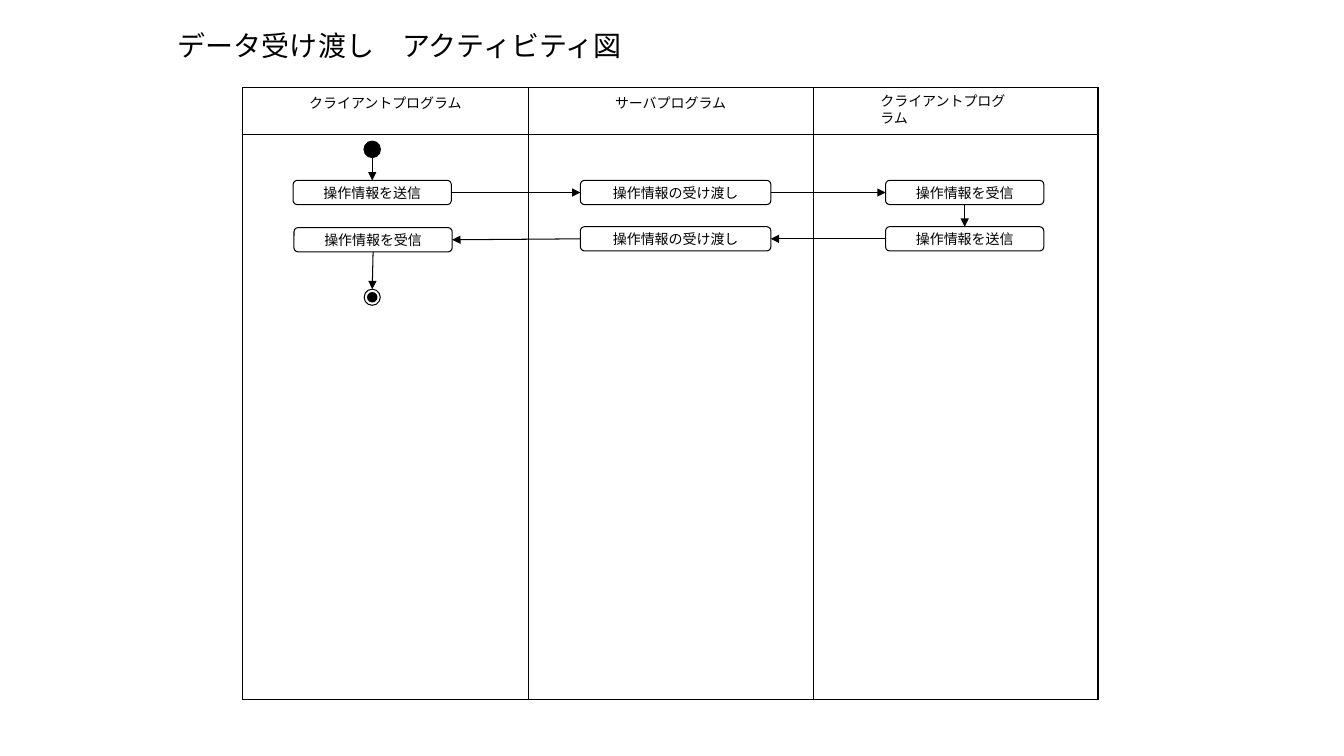
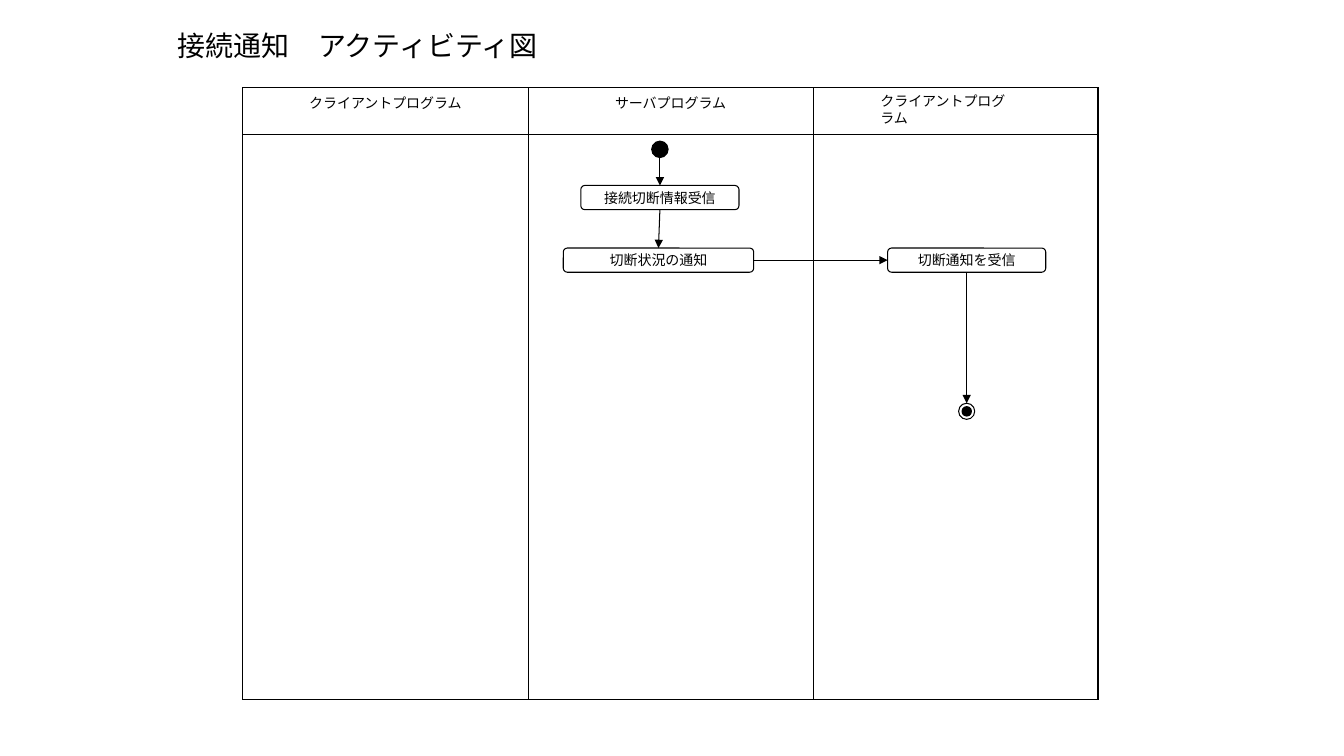
from dataclasses import dataclass

from lxml import etree
from pptx import Presentation
from pptx.dml.color import RGBColor
from pptx.enum.shapes import MSO_CONNECTOR, MSO_SHAPE
from pptx.enum.text import MSO_ANCHOR, MSO_AUTO_SIZE, PP_ALIGN
from pptx.oxml.ns import qn
from pptx.shapes.autoshape import Shape
from pptx.slide import Slide
from pptx.table import _Cell
from pptx.text.text import TextFrame
from pptx.util import Inches, Pt

ROUNDED = MSO_SHAPE.ROUNDED_RECTANGLE
OVAL = MSO_SHAPE.OVAL
STRAIGHT = MSO_CONNECTOR.STRAIGHT
CENTER = PP_ALIGN.CENTER
LEFT = PP_ALIGN.LEFT
MIDDLE = MSO_ANCHOR.MIDDLE
TOP = MSO_ANCHOR.TOP
GROW = MSO_AUTO_SIZE.SHAPE_TO_FIT_TEXT

BLACK = "000000"
WHITE = "FFFFFF"
JAPANESE_FONT = "Noto Sans CJK JP"
BODY_FONT = "Times New Roman"
BODY_SIZE = 10

SLIDE_WIDTH, SLIDE_HEIGHT = 13.34, 7.5
BLANK_LAYOUT = 6
DIAGRAM_LEFT, DIAGRAM_TOP = 2.41, 0.87
LANE_WIDTH = 2.83
LANE_COUNT = 3
COLUMN = LANE_WIDTH / 10
ROW = 0.46
BODY_HEIGHT = 5.61
BOX_HEIGHT = 0.24
CIRCLE, CORE = 0.16, 0.09
NARROW, WIDE = 1.57, 1.89
OUTER_LINE, INNER_LINE, SHAPE_LINE = 1.08, 0.45, 0.75
TOP_SIDE, LEFT_SIDE, BOTTOM_SIDE, RIGHT_SIDE = range(4)

CLIENT = "クライアントプログラム"
SERVER = "サーバプログラム"


@dataclass(frozen=True)
class Action:
    """A labelled step centred on a grid column and row."""

    name: str
    text: str
    column: float
    row: float
    width: float = NARROW


@dataclass(frozen=True)
class Marker:
    """A start or end circle centred on a grid column and row."""

    name: str
    column: float
    row: float


@dataclass(frozen=True)
class Flow:
    """An arrow between two named nodes."""

    source: str
    target: str


@dataclass(frozen=True)
class Activity:
    """The content of one activity diagram."""

    title: str
    start: Marker
    end: Marker
    actions: tuple[Action, ...]
    flows: tuple[Flow, ...]


ACTIVITIES = (
    Activity(
        "データ受け渡し　アクティビティ図",
        Marker("start", 4.54, 1.33),
        Marker("end", 4.54, 4.52),
        (
            Action("send", "操作情報を送信", 4.54, 2.26),
            Action("relay", "操作情報の受け渡し", 15.18, 2.26, WIDE),
            Action("receive", "操作情報を受信", 25.32, 2.26),
            Action("reply", "操作情報を送信", 25.32, 3.26),
            Action("relay back", "操作情報の受け渡し", 15.18, 3.26, WIDE),
            Action("receive back", "操作情報を受信", 4.57, 3.28),
        ),
        (
            Flow("start", "send"),
            Flow("send", "relay"),
            Flow("relay", "receive"),
            Flow("receive", "reply"),
            Flow("reply", "relay back"),
            Flow("relay back", "receive back"),
            Flow("receive back", "end"),
        ),
    ),
    Activity(
        "接続通知　アクティビティ図",
        Marker("start", 14.63, 1.33),
        Marker("end", 25.39, 6.98),
        (
            Action("detect", "接続切断情報受信", 14.63, 2.37),
            Action("notify", "切断状況の通知", 14.58, 3.72, WIDE),
            Action("receive", "切断通知を受信", 25.39, 3.72),
        ),
        (
            Flow("start", "detect"),
            Flow("detect", "notify"),
            Flow("notify", "receive"),
            Flow("receive", "end"),
        ),
    ),
)


def color(value: str) -> RGBColor:
    """Turn a hex string into a colour."""
    return RGBColor.from_string(value)


def write(frame: TextFrame, text: str, size: float = BODY_SIZE, font: str = BODY_FONT,
          align: PP_ALIGN = CENTER, before: float = 0) -> None:
    """Write one formatted paragraph."""
    frame.text = text
    paragraph = frame.paragraphs[0]
    paragraph.alignment = align
    paragraph.space_before = Pt(before)
    for run in paragraph.runs:
        run.font.size = Pt(size)
        run.font.name = font
        run.font.color.rgb = color(BLACK)
        east_asian = etree.SubElement(run.font._element, qn("a:ea"))
        east_asian.set("typeface", JAPANESE_FONT)


def add_text(slide: Slide, text: str, box: tuple[float, float, float, float],
             anchor: MSO_ANCHOR, **style) -> TextFrame:
    """Add a wrapping text box."""
    frame = slide.shapes.add_textbox(*map(Inches, box)).text_frame
    frame.word_wrap = True
    frame.vertical_anchor = anchor
    write(frame, text, align=LEFT, **style)
    return frame


def add_centered(slide: Slide, kind: MSO_SHAPE, column: float, row: float,
                 width: float, height: float, fill: str = WHITE,
                 line_width: float = SHAPE_LINE) -> Shape:
    """Add an outlined shape centred on a grid point."""
    left = DIAGRAM_LEFT + column * COLUMN - width / 2
    top = DIAGRAM_TOP + row * ROW - height / 2
    shape = slide.shapes.add_shape(kind, *map(Inches, (left, top, width, height)))
    shape.shadow.inherit = False
    shape.fill.solid()
    shape.fill.fore_color.rgb = color(fill)
    shape.line.color.rgb = color(BLACK)
    shape.line.width = Pt(line_width)
    return shape


def add_action(slide: Slide, action: Action) -> Shape:
    """Add a rounded step with its label."""
    shape = add_centered(slide, ROUNDED, action.column, action.row, action.width, BOX_HEIGHT)
    shape.adjustments[0] = 0.167
    shape.text_frame.word_wrap = False
    shape.text_frame.vertical_anchor = MIDDLE
    write(shape.text_frame, action.text)
    return shape


def add_start(slide: Slide, marker: Marker) -> Shape:
    """Add the filled start circle."""
    return add_centered(slide, OVAL, marker.column, marker.row, CIRCLE, CIRCLE, BLACK, 1)


def add_end(slide: Slide, marker: Marker) -> Shape:
    """Add the ringed end circle and return its ring."""
    ring = add_centered(slide, OVAL, marker.column, marker.row, CIRCLE, CIRCLE)
    core = add_centered(slide, OVAL, marker.column, marker.row, CORE, CORE, BLACK, 1)
    slide.shapes.add_group_shape([ring, core])
    return ring


def add_flow(slide: Slide, source: Shape, target: Shape) -> None:
    """Join two nodes with an arrow, down within a lane and sideways across lanes."""
    source_center = source.left + source.width // 2
    distance = target.left + target.width // 2 - source_center
    if abs(distance) < Inches(LANE_WIDTH / 2):
        sides = BOTTOM_SIDE, TOP_SIDE
    elif distance > 0:
        sides = RIGHT_SIDE, LEFT_SIDE
    else:
        sides = LEFT_SIDE, RIGHT_SIDE
    bottom = source.top + source.height
    connector = slide.shapes.add_connector(STRAIGHT, source_center, bottom,
                                           source_center, bottom)
    if source.auto_shape_type == ROUNDED:
        connector.begin_connect(source, sides[0])
    connector.end_connect(target, sides[1])
    connector.line.color.rgb = color(BLACK)
    connector.line.width = Pt(SHAPE_LINE)
    etree.SubElement(connector.line._get_or_add_ln(), qn("a:tailEnd")).set("type", "triangle")
    etree.SubElement(connector._element.spPr, qn("a:effectLst"))


def set_borders(cell: _Cell, widths: dict[str, float]) -> None:
    """Draw the borders of a cell and clear its fill."""
    properties = cell._tc.get_or_add_tcPr()
    for tag, width in widths.items():
        line = etree.SubElement(properties, qn(f"a:{tag}"))
        line.set("w", str(Pt(width)))
        fill = etree.SubElement(line, qn("a:solidFill"))
        etree.SubElement(fill, qn("a:srgbClr")).set("val", BLACK)
    cell.fill.background()


def add_lanes(slide: Slide) -> None:
    """Add the swimlane table and its headings."""
    box = DIAGRAM_LEFT, DIAGRAM_TOP, LANE_WIDTH * LANE_COUNT, ROW + BODY_HEIGHT
    table = slide.shapes.add_table(2, LANE_COUNT, *map(Inches, box)).table
    table.first_row = False
    table.horz_banding = False
    for column in table.columns:
        column.width = Inches(LANE_WIDTH)
    for row, height in zip(table.rows, (ROW, BODY_HEIGHT)):
        row.height = Inches(height)
    for row_index in range(2):
        for lane in range(LANE_COUNT):
            outer = {
                "lnL": lane == 0,
                "lnR": lane == LANE_COUNT - 1,
                "lnT": row_index == 0,
                "lnB": row_index == 1,
            }
            set_borders(table.cell(row_index, lane),
                        {tag: OUTER_LINE if edge else INNER_LINE for tag, edge in outer.items()})
    for lane, heading in enumerate((CLIENT, SERVER)):
        write(table.cell(0, lane).text_frame, heading, before=2.5)
    frame = add_text(slide, CLIENT, (8.64, DIAGRAM_TOP, 1.51, 0.44), TOP, before=6.2)
    frame.auto_size = GROW


def add_activity(presentation: Presentation, activity: Activity) -> None:
    """Add one activity diagram slide."""
    slide = presentation.slides.add_slide(presentation.slide_layouts[BLANK_LAYOUT])
    title_box = SLIDE_WIDTH / 8, 0.27, SLIDE_WIDTH * 0.75, 0.41
    title = add_text(slide, activity.title, title_box, MIDDLE, size=20, font=JAPANESE_FONT)
    title.paragraphs[0].line_spacing = 0.9
    add_lanes(slide)
    nodes = {action.name: add_action(slide, action) for action in activity.actions}
    nodes[activity.start.name] = add_start(slide, activity.start)
    nodes[activity.end.name] = add_end(slide, activity.end)
    for flow in activity.flows:
        add_flow(slide, nodes[flow.source], nodes[flow.target])


def main() -> None:
    """Build and save the presentation."""
    presentation = Presentation()
    presentation.slide_width = Inches(SLIDE_WIDTH)
    presentation.slide_height = Inches(SLIDE_HEIGHT)
    for activity in ACTIVITIES:
        add_activity(presentation, activity)
    presentation.save("out.pptx")


if __name__ == "__main__":
    main()
